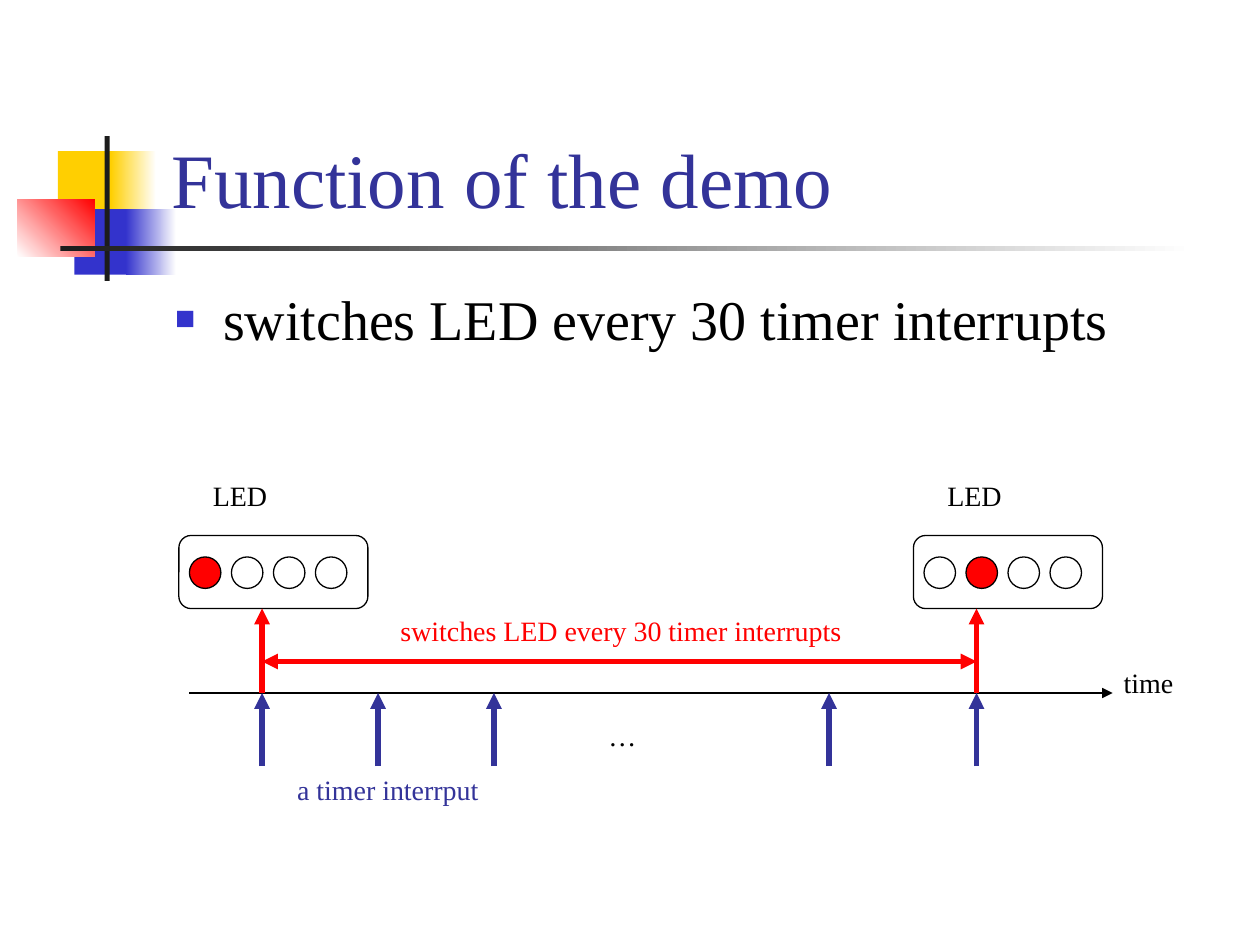
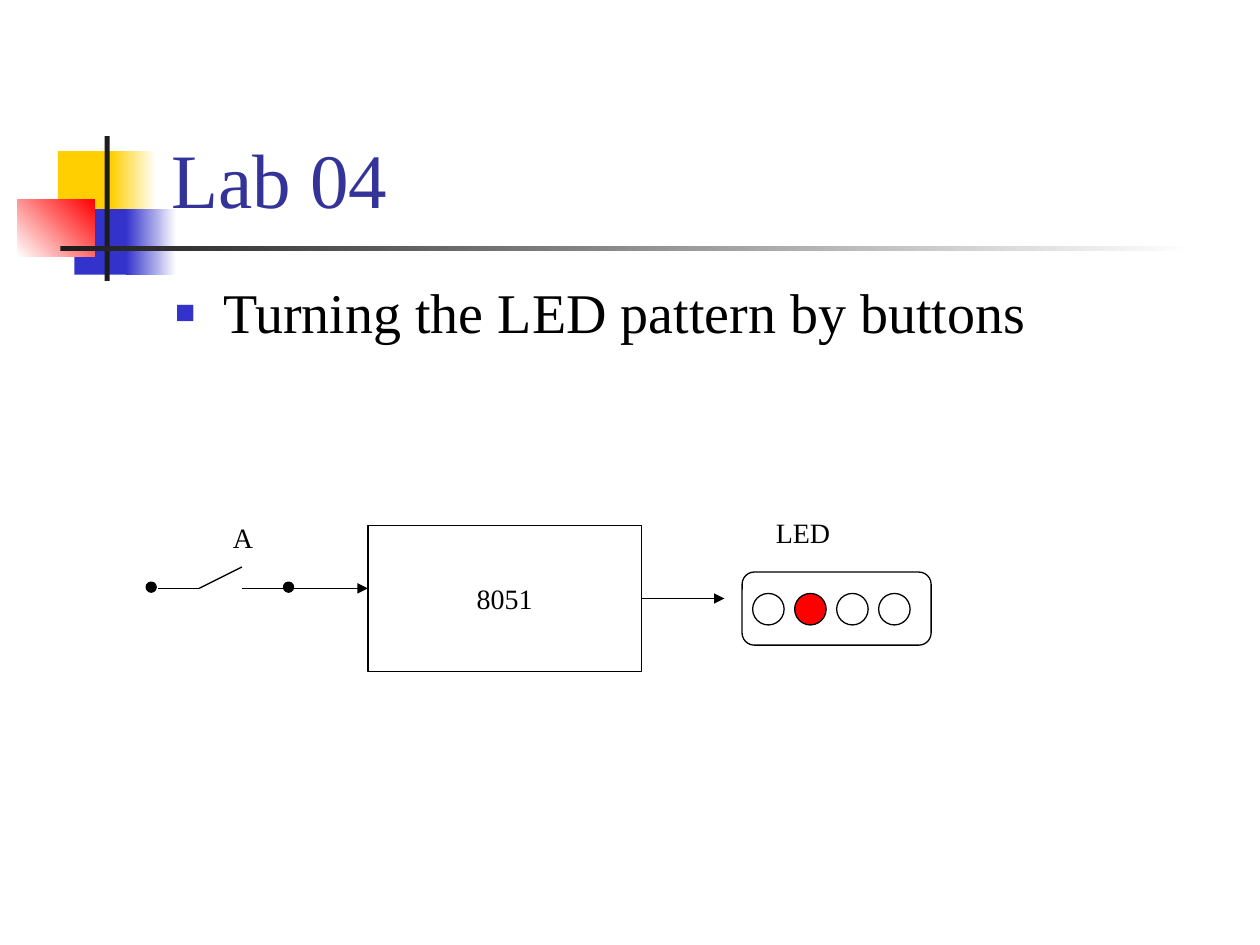
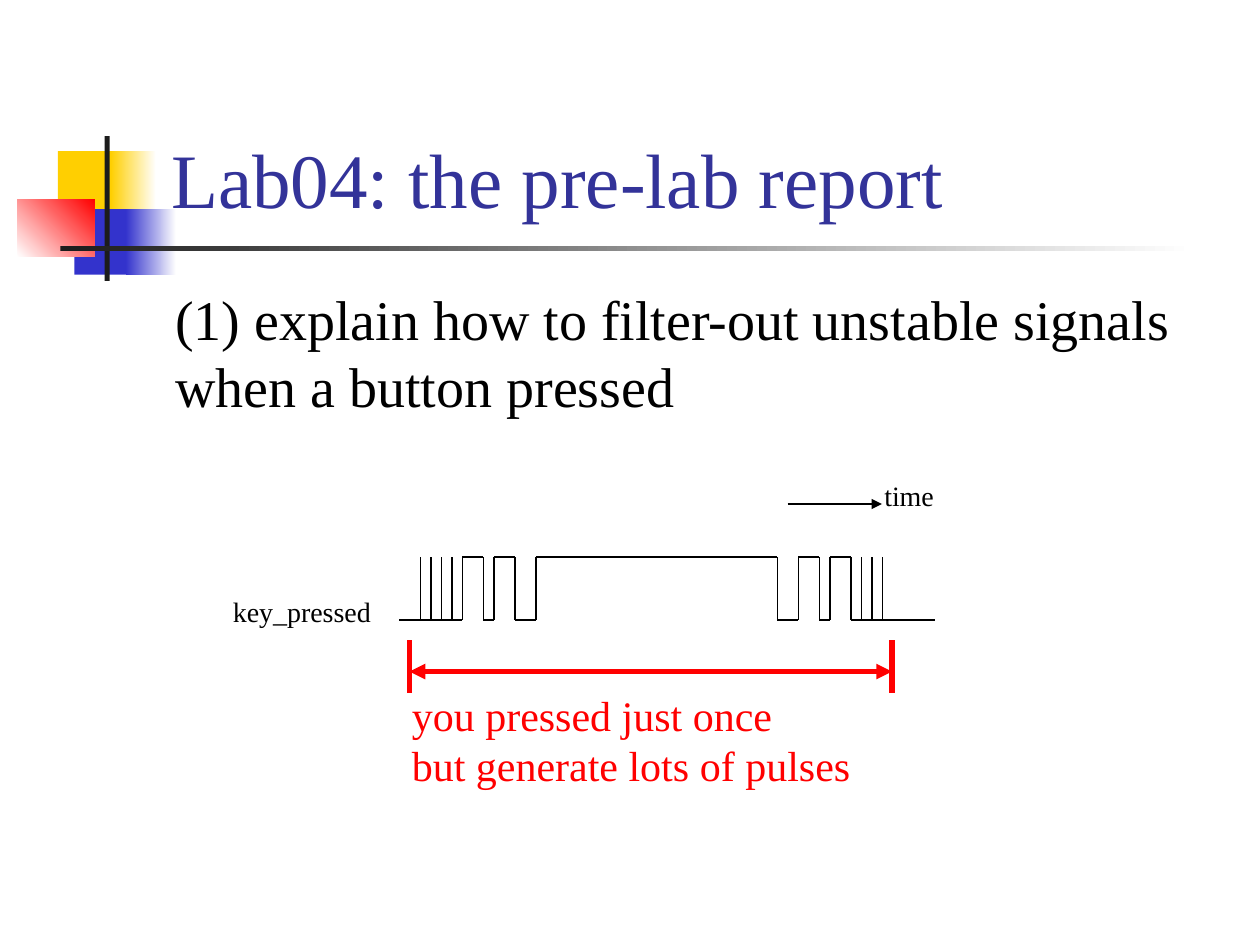
from dataclasses import dataclass

from pptx import Presentation
from pptx.dml.color import RGBColor as Rgb
from pptx.enum.shapes import MSO_CONNECTOR as Line, MSO_SHAPE as Preset
from pptx.enum.text import MSO_ANCHOR as Anchor, MSO_AUTO_SIZE as Fit, PP_ALIGN as Align
from pptx.oxml.ns import qn
from pptx.oxml.xmlchemy import OxmlElement as Element
from pptx.util import Inches, Pt


@dataclass(frozen=True)
class Theme:
    font: str = "Times New Roman"
    title_size: int = 44
    body_size: int = 32
    note_size: int = 24
    label_size: int = 16
    thin: float = 0.75
    thick: float = 3
    black: str = "000000"
    white: str = "FFFFFF"
    red: str = "FF0000"
    yellow: str = "FFCF01"
    blue: str = "3333CC"
    navy: str = "333399"
    charcoal: str = "1C1C1C"


THEME = Theme()
STEP = 1 / 12


def rgb(colour):
    return Rgb.from_string(colour)


def add_child(parent, tag, **attributes):
    child = Element(tag)
    for name, value in attributes.items():
        child.set(name, value)
    parent.append(child)


def write(para, text, size, colour):
    span = para.add_run()
    span.text = text
    span.font.name = THEME.font
    span.font.size = Pt(size)
    span.font.color.rgb = rgb(colour)


def place(shape, left, top, width, height):
    shape.left, shape.top = Inches(left), Inches(top)
    shape.width, shape.height = Inches(width), Inches(height)


def add_box(shapes, preset, left, top, width, height, fill=None, outline=THEME.black):
    box = shapes.add_shape(preset, Inches(left), Inches(top), Inches(width), Inches(height))
    box.shadow.inherit = False
    if fill:
        box.fill.solid()
        box.fill.fore_color.rgb = rgb(fill)
    else:
        box.fill.background()
    if outline:
        box.line.color.rgb = rgb(outline)
        box.line.width = Pt(THEME.thin)
    else:
        box.line.fill.background()
    return box


def add_line(shapes, start, end, colour=THEME.black, width=THEME.thin, heads=()):
    line = shapes.add_connector(Line.STRAIGHT, *(Inches(value) for value in (*start, *end)))
    line.line.color.rgb = rgb(colour)
    line.line.width = Pt(width)
    properties = line.element.spPr
    for head in heads:
        add_child(properties.find(qn("a:ln")), head, type="triangle")
    add_child(properties, "a:effectLst")
    return line


def add_arrow(shapes, start, end, colour=THEME.black, width=THEME.thin):
    return add_line(shapes, start, end, colour, width, ["a:tailEnd"])


def add_span_arrow(shapes, start, end):
    add_line(shapes, start, end, THEME.red, THEME.thick, ["a:headEnd", "a:tailEnd"])


def add_label(shapes, lines, left, top, width, height=0.37,
              size=THEME.label_size, colour=THEME.black):
    label = shapes.add_textbox(Inches(left), Inches(top), Inches(width), Inches(height))
    frame = label.text_frame
    frame.word_wrap = False
    frame.auto_size = Fit.SHAPE_TO_FIT_TEXT
    for index, text in enumerate(lines):
        para = frame.add_paragraph() if index else frame.paragraphs[0]
        write(para, text, size, colour)


def add_band(shapes, left, top, width, height, first, last=None, angle=0):
    band = add_box(shapes, Preset.RECTANGLE, left, top, width, height, first, None)
    if last:
        band.fill.gradient()
        band.fill.gradient_angle = angle
        for stop, colour in zip(band.fill.gradient_stops, (first, last)):
            stop.color.rgb = rgb(colour)
    return band


def decorate_layout(layout, page):
    for holder in list(layout.placeholders):
        if holder.placeholder_format.idx >= 10:
            holder.element.getparent().remove(holder.element)
    bands = [
        (0.46, 1.2, 0.48, 0.52, THEME.yellow),
        (0.88, 1.2, 0.36, 0.52, THEME.yellow, THEME.white),
        (0.59, 1.66, 0.46, 0.52, THEME.blue),
        (1, 1.66, 0.4, 0.52, THEME.blue, THEME.white),
        (0.14, 1.58, 0.61, 0.46, THEME.white, THEME.red, 45),
        (0.83, 1.08, 0.04, 1.15, THEME.charcoal),
        (0.48, 1.95, 9, 0.04, THEME.charcoal, THEME.white),
    ]
    for band in bands:
        layout.shapes.element.append(add_band(page.shapes, *band).element)


def fill_title(page, text):
    title = page.shapes.title
    place(title, 1.26, 0.23, 8.52, 1.6)
    frame = title.text_frame
    frame.auto_size = Fit.NONE
    frame.vertical_anchor = Anchor.BOTTOM
    para = frame.paragraphs[0]
    para.alignment = Align.LEFT
    write(para, text, THEME.title_size, THEME.navy)


def fill_body(page, text, height, bullet=True, spacing=None):
    body = page.placeholders[1]
    place(body, 1.29, 2.21, 8.5, height)
    frame = body.text_frame
    frame.auto_size = Fit.NONE
    para = frame.paragraphs[0]
    para.space_before = Pt(0)
    if spacing:
        para.line_spacing = spacing
    properties = para._p.get_or_add_pPr()
    indent = Inches(0.38) if bullet else 0
    properties.set("marL", str(indent))
    properties.set("indent", str(-indent))
    if bullet:
        colour = Element("a:buClr")
        add_child(colour, "a:srgbClr", val=THEME.blue)
        properties.append(colour)
        add_child(properties, "a:buSzPct", val="60000")
        add_child(properties, "a:buFont", typeface=THEME.font)
        add_child(properties, "a:buChar", char="■")
    else:
        add_child(properties, "a:buNone")
    write(para, text, THEME.body_size, THEME.black)


def add_led_panel(page, left, top, lit):
    shapes = page.shapes.add_group_shape().shapes
    for index in range(4):
        fill = THEME.red if index == lit else None
        add_box(shapes, Preset.OVAL, left + STEP + index * 4 * STEP, top + 0.17, 0.25, 0.25, fill)
    panel = add_box(shapes, Preset.ROUNDED_RECTANGLE, left, top, 1.5, 0.58)
    panel.adjustments[0] = 0.167
    add_label(shapes, ["LED"], left + 0.17, top - 0.5, 0.65)


def add_timeline(page, left, axis):
    shapes = page.shapes.add_group_shape().shapes
    add_arrow(shapes, (left, axis), (left + 7.33, axis))
    add_label(shapes, ["time"], left + 7.32, axis - 0.27, 0.63)
    interrupts = [left + offset for offset in (0.58, 1.5, 2.42, 5.08, 6.25)]
    for across in interrupts:
        add_arrow(shapes, (across, axis + 0.58), (across, axis), THEME.navy, THEME.thick)
    first, last = interrupts[0], interrupts[-1]
    for across in (first, last):
        add_arrow(shapes, (across, axis), (across, axis - 0.67), THEME.red, THEME.thick)
    add_span_arrow(shapes, (first, axis - 0.25), (last, axis - 0.25))
    add_label(shapes, ["a timer interrput"], left + 0.76, axis + 0.58, 1.67, colour=THEME.navy)
    add_label(shapes, ["…"], left + 3.23, axis + 0.15, 0.44)
    add_label(shapes, ["switches LED every 30 timer interrupts"],
              left + 1.58, axis - 0.68, 3.73, colour=THEME.red)


def add_switch(page, left, level):
    shapes = page.shapes.add_group_shape().shapes
    hinge, contact = left + 0.42, left + 0.76
    add_line(shapes, (hinge, level), (contact, level - 0.17))
    add_line(shapes, (left + 0.09, level), (hinge, level))
    add_line(shapes, (contact, level), (left + 1.09, level))
    for dot in (left, left + 1.09):
        add_box(shapes, Preset.OVAL, dot, level - 0.05, 0.08, 0.08, THEME.black)
    add_label(page.shapes, ["A"], left + 0.59, level - 0.59, 0.36)


def add_controller(page, left, top):
    width, height = 2.17, 1.16
    chip = add_box(page.shapes, Preset.RECTANGLE, left, top, width, height)
    frame = chip.text_frame
    frame.word_wrap = False
    frame.vertical_anchor = Anchor.MIDDLE
    para = frame.paragraphs[0]
    para.alignment = Align.CENTER
    write(para, "8051", THEME.label_size, THEME.black)
    add_arrow(page.shapes, (left - 0.59, top + 0.5), (left, top + 0.5))
    right, middle = left + width, top + height / 2
    output = add_arrow(page.shapes, (right, middle), (right + 0.66, middle))
    output.begin_connect(chip, 3)


def add_waveform(page, left, high):
    shapes = page.shapes.add_group_shape().shapes
    low = high + 0.5
    edges = [6, 8, 9, 11, 13, 36, 38, 40, 41, 43]
    spikes = [2, 3, 4, 5, 44, 45, 46]
    stops = [0, *edges, 51]
    for index, (start, end) in enumerate(zip(stops, stops[1:])):
        level = high if index % 2 else low
        add_line(shapes, (left + start * STEP, level), (left + end * STEP, level))
    for step in edges + spikes:
        add_line(shapes, (left + step * STEP, low), (left + step * STEP, high))
    add_label(shapes, ["key_pressed"], left - 1.42, high + 0.25, 1.33)
    add_arrow(shapes, (left + 3.08, high - 0.42), (left + 3.83, high - 0.42))
    add_label(shapes, ["time"], left + 3.75, high - 0.67, 0.63)


def add_press_span(page, left, top, width):
    shapes = page.shapes.add_group_shape().shapes
    for across in (left, left + width):
        add_line(shapes, (across, top), (across, top + 0.42), THEME.red, THEME.thick)
    add_span_arrow(shapes, (left, top + 0.25), (left + width, top + 0.25))
    add_label(shapes, ["you pressed just once", "but generate lots of pulses"],
              left - 0.08, top + 0.34, 3.72, 0.9, THEME.note_size, THEME.red)


def build_demo(page):
    fill_title(page, "Function of the demo")
    fill_body(page, "switches LED every 30 timer interrupts", 0.71)
    add_led_panel(page, 1.42, 4.25, 0)
    add_led_panel(page, 7.25, 4.25, 1)
    add_timeline(page, 1.5, 5.5)


def build_lab(page):
    fill_title(page, "Lab 04")
    fill_body(page, "Turning the LED pattern by buttons", 1.13, spacing=0.9)
    add_controller(page, 2.92, 4.17)
    add_switch(page, 1.16, 4.67)
    add_led_panel(page, 5.89, 4.54, 1)


def build_report(page):
    fill_title(page, "Lab04: the pre-lab report")
    fill_body(page, "(1) explain how to filter-out unstable signals when a button pressed",
              1.38, bullet=False)
    add_waveform(page, 3.17, 4.42)
    add_press_span(page, 3.25, 5.08, 3.83)


def main():
    deck = Presentation()
    deck.slide_width, deck.slide_height = Inches(10), Inches(7.5)
    layout = deck.slide_layouts[1]
    builders = [build_demo, build_lab, build_report]
    pages = [deck.slides.add_slide(layout) for _ in builders]
    decorate_layout(layout, pages[0])
    for build, page in zip(builders, pages):
        build(page)
    deck.save("out.pptx")


if __name__ == "__main__":
    main()
